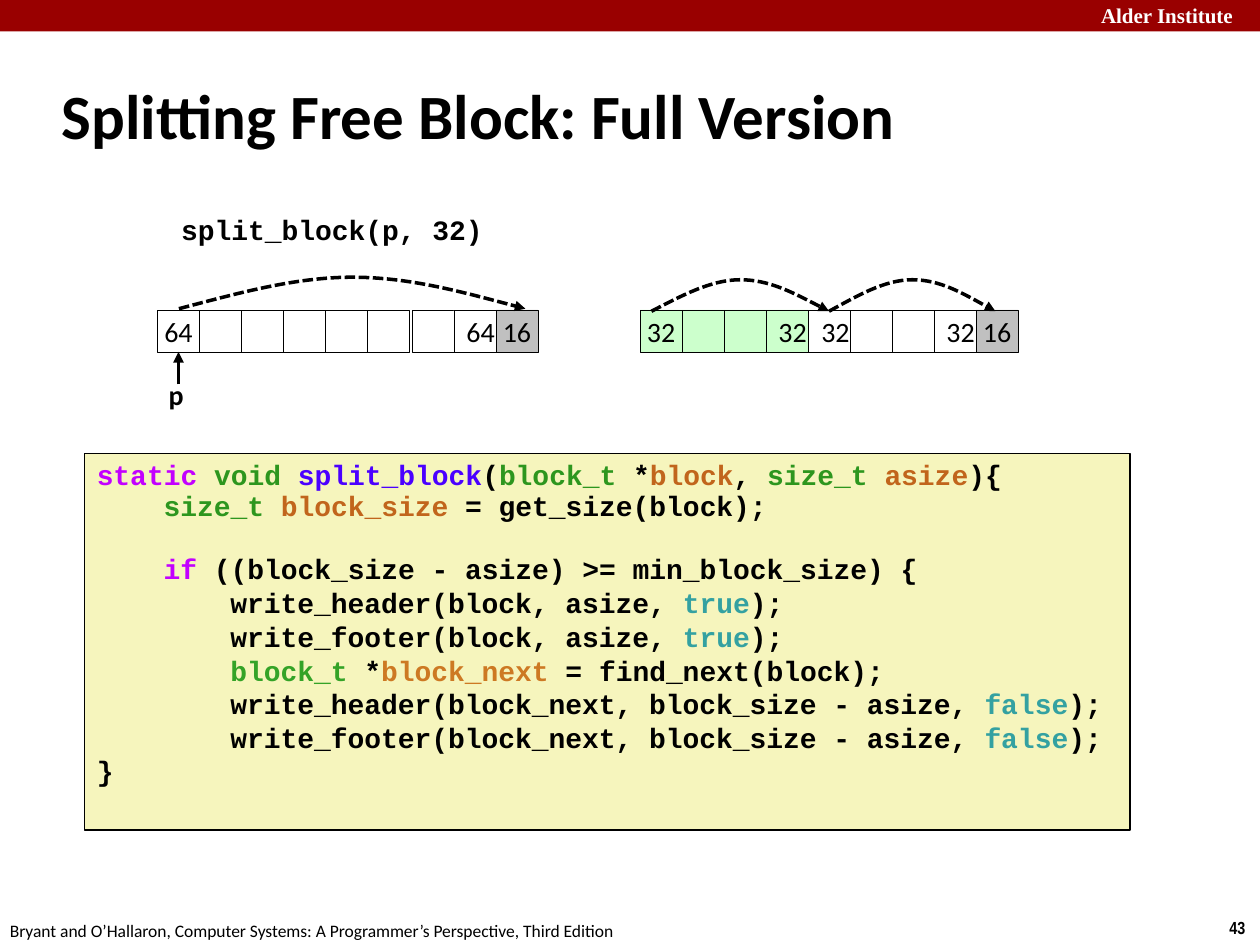
from lxml import etree
from pptx import Presentation
from pptx.dml.color import RGBColor
from pptx.enum.dml import MSO_LINE
from pptx.enum.shapes import MSO_CONNECTOR, MSO_SHAPE
from pptx.enum.text import MSO_ANCHOR, MSO_AUTO_SIZE, PP_ALIGN
from pptx.oxml.ns import qn
from pptx.util import Inches, Pt

RECTANGLE = MSO_SHAPE.RECTANGLE
STRAIGHT = MSO_CONNECTOR.STRAIGHT
DASHED = MSO_LINE.SQUARE_DOT
LEFT, CENTER = PP_ALIGN.LEFT, PP_ALIGN.CENTER
TOP, MIDDLE = MSO_ANCHOR.TOP, MSO_ANCHOR.MIDDLE
NO_AUTOSIZE = MSO_AUTO_SIZE.NONE
BOTTOM_SIDE = 2

BLACK = RGBColor(0x00, 0x00, 0x00)
WHITE = RGBColor(0xFF, 0xFF, 0xFF)
BANNER_RED = RGBColor(0x99, 0x00, 0x00)
ALLOCATED_GREEN = RGBColor(0xCC, 0xFF, 0xCC)
NEXT_GRAY = RGBColor(0xC0, 0xC0, 0xC0)
CODE_YELLOW = RGBColor(0xF6, 0xF5, 0xBD)
KEYWORD = RGBColor(0xC2, 0x00, 0xFF)
TYPE = RGBColor(0x2D, 0x96, 0x1E)
LOCAL_TYPE = RGBColor(0x34, 0xA3, 0x27)
FUNCTION = RGBColor(0x4A, 0x00, 0xFF)
VARIABLE = RGBColor(0xC1, 0x65, 0x1C)
LOCAL_VARIABLE = RGBColor(0xCD, 0x79, 0x23)
CONSTANT = RGBColor(0x34, 0xA1, 0xA1)

CELL = 1 / 3
ROW_TOP = 2.46
INDENT = 0.53  # four code characters

# Each line of code: indent level, line spacing, points before, runs
CODE = [
    (0, 0.94, 0, [("static ", KEYWORD), ("void ", TYPE), ("split_block", FUNCTION),
                  ("(", BLACK), ("block_t", TYPE), (" *", BLACK),
                  ("block", VARIABLE), (", ", BLACK), ("size_t ", TYPE),
                  ("asize", VARIABLE), ("){", BLACK)]),
    (1, 0.94, 0, [("size_t ", TYPE), ("block_size", VARIABLE),
                  (" = get_size(block);", BLACK)]),
    (1, 0.94, 18, [("if", KEYWORD),
                   (" ((block_size - asize) >= min_block_size) {", BLACK)]),
    (2, 1.0, 0, [("write_header(block, asize, ", BLACK), ("true", CONSTANT), (");", BLACK)]),
    (2, 1.0, 0, [("write_footer(block, asize, ", BLACK), ("true", CONSTANT), (");", BLACK)]),
    (2, 1.0, 0, [("block_t", LOCAL_TYPE), (" *", BLACK), ("block_next", LOCAL_VARIABLE),
                 (" = find_next(block);", BLACK)]),
    (2, 1.0, 0, [("write_header(block_next, block_size - asize, ", BLACK),
                 ("false", CONSTANT), (");", BLACK)]),
    (2, 1.0, 0, [("write_footer(block_next, block_size - asize, ", BLACK),
                 ("false", CONSTANT), (");", BLACK)]),
    (0, 1.0, 0, [("}", BLACK)]),
]


def add_run(paragraph, text, size=16, font="Calibri", color=BLACK, bold=False):
    run = paragraph.add_run()
    run.text = text
    run.font.size = Pt(size)
    run.font.name = font
    run.font.bold = bold
    run.font.color.rgb = color


def set_frame(shape, anchor=TOP, wrap=False):
    frame = shape.text_frame
    frame.word_wrap = wrap
    frame.auto_size = NO_AUTOSIZE
    frame.vertical_anchor = anchor
    return frame


def add_label(slide, box, text, align=LEFT, spacing=1.0, inset=0.1, wrap=False, **style):
    shape = slide.shapes.add_textbox(*map(Inches, box))
    frame = set_frame(shape, wrap=wrap)
    frame.margin_left = frame.margin_right = Inches(inset)
    paragraph = frame.paragraphs[0]
    paragraph.alignment = align
    paragraph.line_spacing = spacing
    add_run(paragraph, text, **style)


def add_rectangle(slide, box, fill, line_width=None):
    shape = slide.shapes.add_shape(RECTANGLE, *map(Inches, box))
    shape.shadow.inherit = False
    shape.fill.solid()
    shape.fill.fore_color.rgb = fill
    if line_width is None:
        shape.line.fill.background()
    else:
        shape.line.color.rgb = BLACK
        shape.line.width = Pt(line_width)
    return shape


def add_cells(slide, left, cells):
    """Draw adjoining memory words and return their shapes."""
    shapes = []
    for index, (fill, text, align) in enumerate(cells):
        box = (left + index * CELL, ROW_TOP, CELL, CELL)
        shape = add_rectangle(slide, box, fill, 0.25)
        if text:
            paragraph = set_frame(shape, MIDDLE).paragraphs[0]
            paragraph.alignment = align
            add_run(paragraph, text)
        shapes.append(shape)
    return shapes


def style_arrow(shape):
    shape.line.color.rgb = BLACK
    shape.line.width = Pt(2)
    etree.SubElement(shape.line._get_or_add_ln(), qn("a:tailEnd"), type="triangle")


def add_arc(slide, start, end, base):
    """Draw a dashed arrow arching from one block to the next."""
    top, middle = base - 0.25, base - 0.12
    step = (end - start) / 6
    heights = [base, middle, top, top, top, middle, base]
    points = [(Inches(start + index * step), Inches(height))
              for index, height in enumerate(heights)]
    builder = slide.shapes.build_freeform(*points[0])
    builder.add_line_segments(points[1:], close=False)
    shape = builder.convert_to_shape()
    shape.shadow.inherit = False
    shape.fill.background()
    # Turn each three segments into one cubic curve
    segments = list(shape._element.iter(qn("a:lnTo")))
    for first in range(0, len(segments), 3):
        curve = etree.Element(qn("a:cubicBezTo"))
        segments[first].addprevious(curve)
        for segment in segments[first:first + 3]:
            curve.append(segment[0])
            segment.getparent().remove(segment)
    shape.line.dash_style = DASHED
    style_arrow(shape)


def add_pointer(slide, cell):
    center = cell.left + cell.width // 2
    connector = slide.shapes.add_connector(
        STRAIGHT, center, Inches(3.05), center, cell.top + cell.height)
    connector.end_connect(cell, BOTTOM_SIDE)
    etree.SubElement(connector._element.spPr, qn("a:effectLst"))
    style_arrow(connector)


def add_code(slide, box):
    frame = set_frame(add_rectangle(slide, box, CODE_YELLOW, 1))
    for index, (level, spacing, before, runs) in enumerate(CODE):
        paragraph = frame.add_paragraph() if index else frame.paragraphs[0]
        paragraph.alignment = LEFT
        paragraph.line_spacing = spacing
        paragraph.space_before = Pt(before)
        paragraph._p.get_or_add_pPr().set("marL", str(Inches(level * INDENT)))
        for text, color in runs:
            add_run(paragraph, text, font="Courier New", color=color, bold=True)


def set_title(slide, text):
    title = slide.shapes.title
    title.left, title.top, title.width, title.height = map(Inches, (0.39, 0.49, 8.3, 0.83))
    paragraph = set_frame(title, MIDDLE, wrap=True).paragraphs[0]
    paragraph.alignment = LEFT
    add_run(paragraph, text, size=36, bold=True)


def main():
    presentation = Presentation()
    presentation.slide_width, presentation.slide_height = Inches(10), Inches(7.5)
    slide = presentation.slides.add_slide(presentation.slide_layouts[5])

    # Banner, footer and title
    add_rectangle(slide, (0, 0, 10, 0.25), BANNER_RED)
    add_label(slide, (8.64, -0.03, 1.43, 0.3), "Alder Institute", wrap=True,
              size=12, font="Times New Roman", color=WHITE, bold=True)
    add_label(slide, (9.66, 7.23, 0.34, 0.27), "43", size=10, font="Arial Narrow", bold=True)
    add_label(slide, (-0.02, 7.25, 5.08, 0.27),
              "Bryant and O’Hallaron, Computer Systems: A Programmer’s Perspective, Third Edition",
              size=10)
    set_title(slide, "Splitting Free Block: Full Version")

    free, allocated = (WHITE, "", LEFT), (ALLOCATED_GREEN, "", LEFT)
    following = (NEXT_GRAY, "16", CENTER)

    # Free block before the split
    add_label(slide, (1.37, 1.68, 2.53, 0.34), "split_block(p, 32)", align=CENTER,
              spacing=0.85, inset=0.05, font="Courier New", bold=True)
    header = add_cells(slide, 1.25, [(WHITE, "64", CENTER)] + [free] * 5)[0]
    add_cells(slide, 3.27, [free, (WHITE, "64", LEFT), following])
    add_arc(slide, 1.42, 4.17, 2.45)
    add_pointer(slide, header)
    add_label(slide, (1.24, 2.96, 0.32, 0.37), "p", spacing=0.98, bold=True)

    # Two blocks after the split
    add_cells(slide, 5.08, [(ALLOCATED_GREEN, "32", CENTER), allocated, allocated,
                            (ALLOCATED_GREEN, "32", LEFT), free, free, free,
                            (WHITE, "32", LEFT), following])
    add_label(slide, (6.42, 2.46, 0.43, 0.37), "32", spacing=0.98, wrap=True)
    add_arc(slide, 5.17, 6.58, 2.47)
    add_arc(slide, 6.58, 7.9, 2.47)

    # Code listing
    add_code(slide, (0.67, 3.6, 8.3, 2.99))
    presentation.save("out.pptx")


if __name__ == "__main__":
    main()
